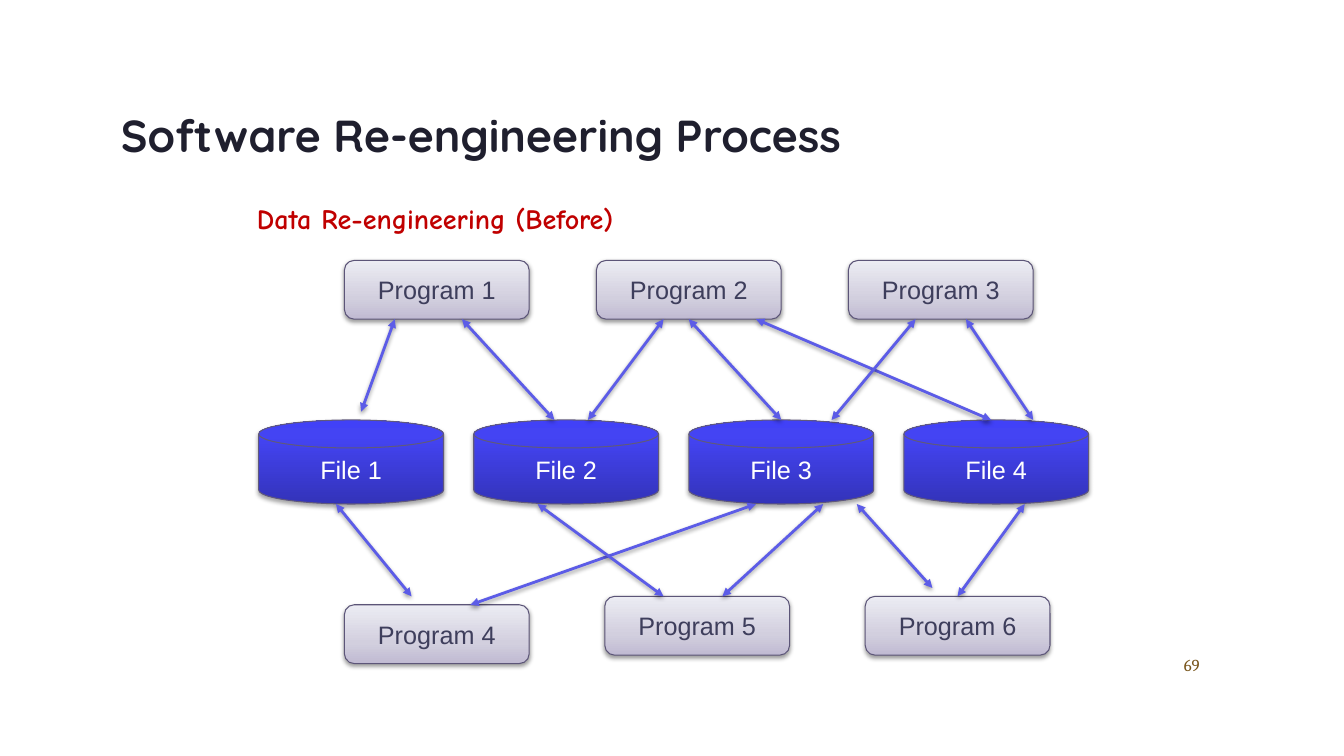
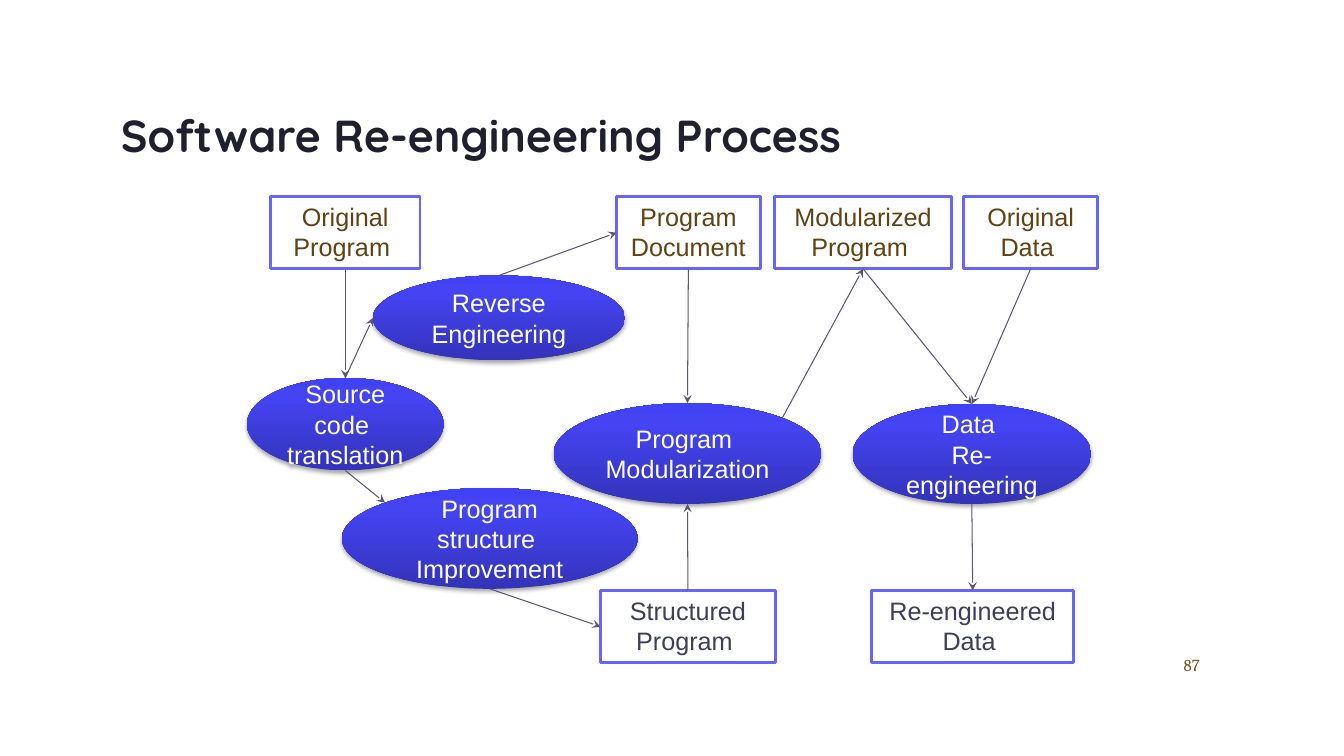
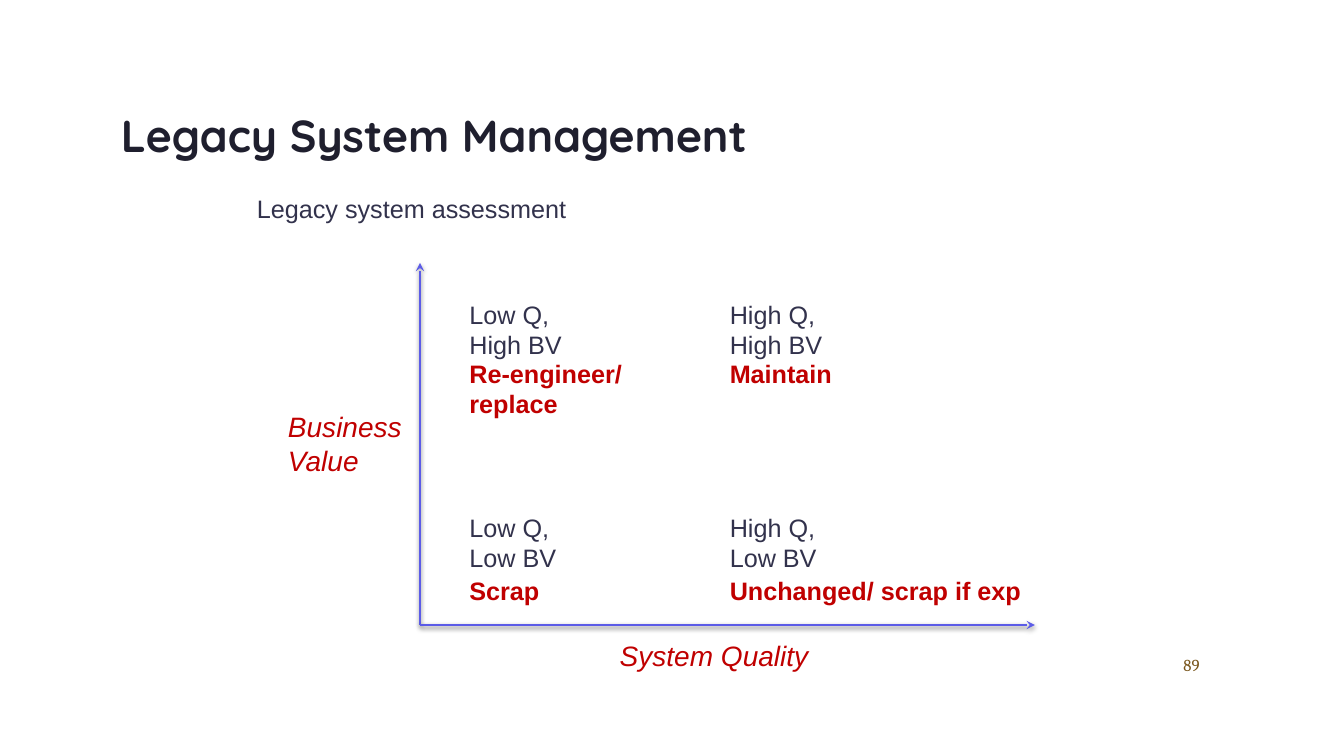
from pptx import Presentation
from pptx.dml.color import RGBColor
from pptx.enum.shapes import MSO_CONNECTOR, MSO_SHAPE
from pptx.enum.text import MSO_ANCHOR, PP_ALIGN
from pptx.oxml.ns import qn
from pptx.util import Inches, Pt
from lxml.etree import SubElement

# The slide is a grid of 160 columns by 90 rows.
CELL = Inches(1 / 12)

HUES = {
    "title": "1F1F2E", "page": "79551B", "red": "C00000", "ink": "32324C",
    "slate": "3E3E5C", "brown": "5F4315", "white": "FFFFFF", "black": "000000",
    "frame": "6666FF", "arrow": "5C5CE7", "edge": "5C5578", "rim": "60597B",
}
BLUE = [(0, "3333B9"), (80, "4444F3"), (100, "4141F7")]
GREY = [(0, "C0BAD2"), (35, "D2CFDE"), (100, "ECECF3")]
SOFT = (38, 20000)
DEEP = (35, 23000)

SPOTS = {
    "top": (0.5, 0), "left": (0, 0.5), "bottom": (0.5, 1), "right": (1, 0.5),
    "nw": (0.146, 0.146), "ne": (0.854, 0.146),
}
SIDES = ["top", "left", "bottom", "right"]


def color(name):
    return RGBColor.from_string(HUES[name])


def grid(*cells):
    return [round(cell * CELL) for cell in cells]


def spot(box, name):
    """Give the point of a box that a spot name stands for."""
    x, y, w, h = box
    across, down = SPOTS[name]
    return round(x + across * w, 2), round(y + down * h, 2)


def write(shape, text, hue, size=18, font="Arial", bold=False, italic=False,
          align=PP_ALIGN.LEFT, anchor=MSO_ANCHOR.TOP):
    frame = shape.text_frame
    frame.word_wrap = True
    frame.vertical_anchor = anchor
    frame.text = text
    for para in frame.paragraphs:
        para.alignment = align
        for run in para.runs:
            run.font.name, run.font.size = font, Pt(size)
            run.font.bold, run.font.italic = bold, italic
            run.font.color.rgb = color(hue)


def label(slide, box, text, hue, **style):
    write(slide.shapes.add_textbox(*grid(*box)), text, hue, **style)


def shade(effects, alpha, drop):
    """Add a soft shadow that falls straight down."""
    outer = SubElement(effects, qn("a:outerShdw"), blurRad="40000",
                       dist=str(drop), dir="5400000", rotWithShape="0")
    tint = SubElement(outer, qn("a:srgbClr"), val=HUES["black"])
    SubElement(tint, qn("a:alpha"), val=str(alpha * 1000))


def blend(shape, stops):
    """Fill a shape with a gradient that runs from bottom to top."""
    shape.fill.gradient()
    shape.fill.gradient_angle = 90
    holder = shape._element.spPr.find(qn("a:gradFill")).find(qn("a:gsLst"))
    for old in list(holder):
        holder.remove(old)
    for place, tint in stops:
        stop = SubElement(holder, qn("a:gs"), pos=str(place * 1000))
        SubElement(stop, qn("a:srgbClr"), val=tint)


def node(slide, kind, box, text, hue, stops=None, line=None, width=0.75,
         shadow=None, anchor=MSO_ANCHOR.MIDDLE):
    shape = slide.shapes.add_shape(kind, *grid(*box))
    shape.shadow.inherit = False
    if shadow:
        shade(shape._element.spPr.find(qn("a:effectLst")), *shadow)
    if stops:
        blend(shape, stops)
    else:
        shape.fill.solid()
        shape.fill.fore_color.rgb = color("white")
    if line:
        shape.line.color.rgb = color(line)
        shape.line.width = Pt(width)
    else:
        shape.line.fill.background()
    write(shape, text, hue, align=PP_ALIGN.CENTER, anchor=anchor)
    return shape


def mids(shape, box):
    """Map the middle of each side to its shape and connection site."""
    return {spot(box, side): (shape, site) for site, side in enumerate(SIDES)}


def arrow(slide, start, end, hue, width, tail, head=None, shadow=None, joins=()):
    """Draw an arrow and join the ends that meet the middle of a side."""
    link = slide.shapes.add_connector(MSO_CONNECTOR.STRAIGHT,
                                      *grid(*start, *end))
    if start in joins:
        link.begin_connect(*joins[start])
    if end in joins:
        link.end_connect(*joins[end])
    link.line.color.rgb = color(hue)
    link.line.width = Pt(width)
    stroke = link.line._get_or_add_ln()
    for tag, kind in (("a:headEnd", head), ("a:tailEnd", tail)):
        if kind:
            SubElement(stroke, qn(tag), type=kind)
    effects = SubElement(link._element.spPr, qn("a:effectLst"))
    if shadow:
        shade(effects, *shadow)


def page(deck, title, number):
    slide = deck.slides.add_slide(deck.slide_layouts[6])
    label(slide, (13.2, 10, 134.3, 12), title, "title", size=32,
          font="Quicksand", bold=True, anchor=MSO_ANCHOR.MIDDLE)
    label(slide, (113.3, 77.3, 30.7, 5), str(number), "page", size=12,
          font="Cambria", align=PP_ALIGN.RIGHT)
    return slide


def web(slide, left, top):
    """Place files between two rows of programs that use them."""
    for i in range(4):
        node(slide, MSO_SHAPE.FLOWCHART_MAGNETIC_DISK,
             (left + 0.8 + 25.6 * i, top + 19, 22, 10), f"File {i + 1}",
             "white", BLUE, "rim", shadow=DEEP)

    joins = {}
    spots = [(11, 0), (41, 0), (71, 0), (11, 41), (42, 40), (73, 40)]
    for i, (x, y) in enumerate(spots, 1):
        box = (left + x, top + y, 22, 7)
        shape = node(slide, MSO_SHAPE.ROUNDED_RECTANGLE, box, f"Program {i}",
                     "slate", GREY, "edge", shadow=SOFT)
        joins.update(mids(shape, box))

    above = [(17, 13, 18), (25, 36, 19), (49, 40, 19), (52, 63, 19),
             (60, 88, 19), (85, 93, 19), (79, 69, 19)]
    below = [(10, 19, 40), (60, 26, 41), (34, 49, 40), (68, 56, 40),
             (72, 81, 39), (92, 84, 40)]
    for row, links in ((7, above), (29, below)):
        for x, to, down in links:
            arrow(slide, (left + x, top + row), (left + to, top + down),
                  "arrow", 2, "triangle", "triangle", SOFT, joins)


def flow(slide, left, top):
    """Place products in boxes, steps in ovals, and the arrows between."""
    low = 46.9
    items = {
        "source": (2.8, 0, 17.8, "Original Program ", "brown"),
        "struct": (42.1, low, 20.8, "Structured Program ", "slate"),
        "paper": (44, 0, 17.1, "Program Document", "brown"),
        "module": (62.8, 0, 21.1, "Modularized Program ", "brown"),
        "result": (74.4, low, 24, "Re-engineered Data ", "slate"),
        "data": (85.3, 0, 16, "Original Data ", "brown"),
    }
    steps = {
        "translate": (0, 21.6, 23.4, 11, "Source code \ntranslation "),
        "improve": (11.3, 34.7, 35.2, 12, "Program structure \nImprovement"),
        "reverse": (15, 9.4, 30, 10.1, "Reverse\nEngineering"),
        "split": (36.5, 24.6, 31.9, 12, "Program \nModularization"),
        "rework": (72.1, 24.7, 28.4, 11.9, "Data \nRe-engineering"),
    }
    links = [
        ("source", "bottom", "translate", "top"),
        ("translate", "top", "reverse", "left"),
        ("translate", "bottom", "improve", "nw"),
        ("reverse", "top", "paper", "left"),
        ("improve", "bottom", "struct", "left"),
        ("paper", "bottom", "split", "top"),
        ("struct", "top", "split", "bottom"),
        ("split", "ne", "module", "bottom"),
        ("module", "bottom", "rework", "top"),
        ("rework", "bottom", "result", "top"),
        ("data", "bottom", "rework", "top"),
    ]
    boxes, joins = {}, {}
    for name, (x, y, w, text, hue) in items.items():
        box = boxes[name] = (left + x, top + y, w, 8.6)
        shape = node(slide, MSO_SHAPE.RECTANGLE, box, text, hue, line="frame",
                     width=2, anchor=MSO_ANCHOR.TOP)
        joins.update(mids(shape, box))
    for name, (x, y, w, h, text) in steps.items():
        box = boxes[name] = (left + x, top + y, w, h)
        node(slide, MSO_SHAPE.OVAL, box, text, "white", BLUE, shadow=DEEP)
    for a, out, b, into in links:
        arrow(slide, spot(boxes[a], out), spot(boxes[b], into), "edge", 0.75,
              "stealth", joins=joins)


def matrix(slide, left, top, wide, high):
    """Place two axes, their names and four quadrants."""
    base = (left, top + high)
    for end in ((left, top), (left + wide, top + high)):
        arrow(slide, base, end, "arrow", 2, "stealth", shadow=SOFT)
    label(slide, (left - 16.9, top + 16.9, 19.6, 9.2), "Business Value", "red",
          size=20, italic=True)
    label(slide, (left + 22.6, top + high + 1, 34.6, 5.3), "System Quality",
          "red", size=20, italic=True)

    rows = [("High", 3.7, 10.8, ["Re-engineer/ replace", "Maintain"]),
            ("Low", 29.1, 36.6, ["Scrap", "Unchanged/ scrap if exp"])]
    cols = [("Low", 4.7, 22.5), ("High", 35.7, 37.5)]
    for value, y, below, advice in rows:
        for (grade, x, w), text in zip(cols, advice):
            label(slide, (left + x, top + y, 17, 8.5),
                  f"{grade} Q,\n{value} BV", "ink")
            label(slide, (left + x, top + below, w, 4.8), text, "red",
                  bold=True)


def main():
    deck = Presentation()
    deck.slide_width, deck.slide_height = grid(160, 90)

    slide = page(deck, "Software Re-engineering Process", 69)
    web(slide, 30, 31)
    label(slide, (29.4, 23.4, 61, 5.3), "Data Re-engineering (Before)", "red",
          size=20, font="Comic Neue", bold=True)

    flow(page(deck, "Software Re-engineering Process", 87), 29.4, 23.4)

    slide = page(deck, "Legacy System Management", 89)
    matrix(slide, 50, 31.3, 73.2, 43.1)
    label(slide, (29.4, 22.4, 39.6, 4.8), "Legacy system assessment", "ink")

    deck.save("out.pptx")


if __name__ == "__main__":
    main()
